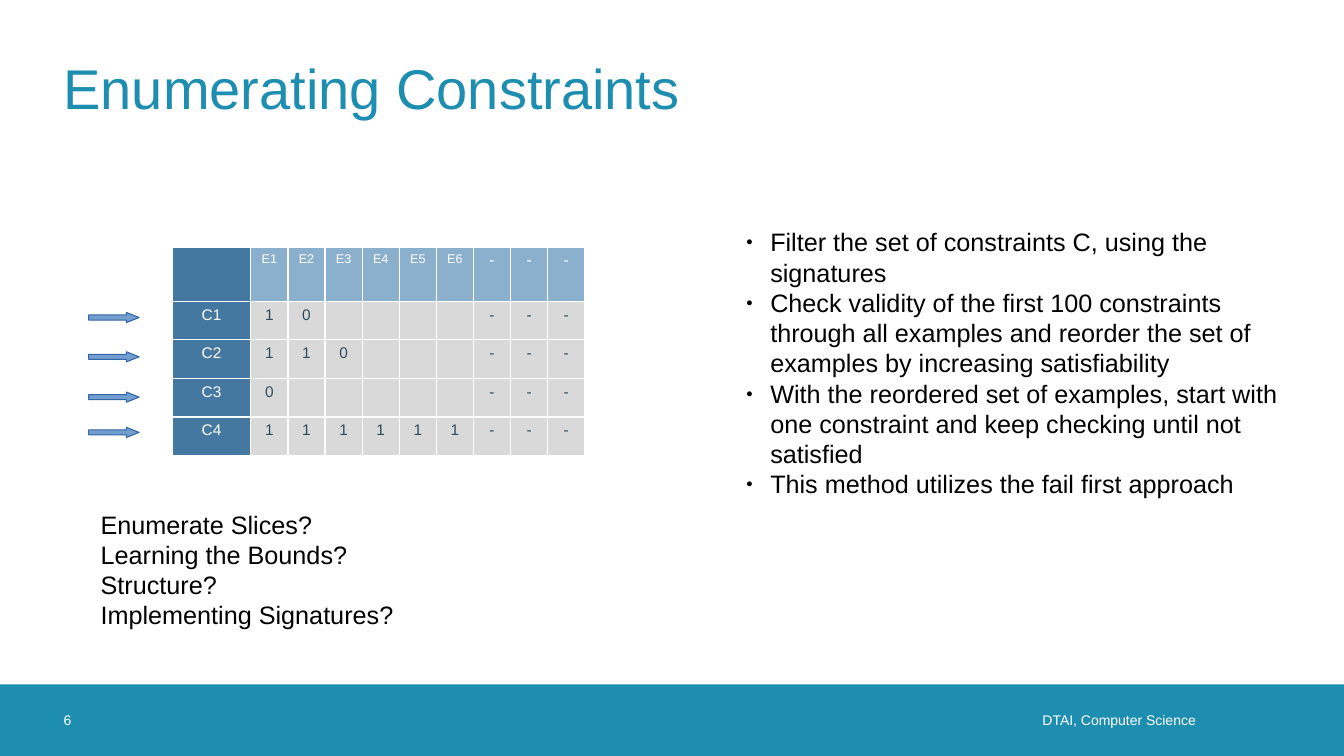
import dataclasses

import lxml.etree
import pptx
import pptx.dml.color
import pptx.enum.shapes
import pptx.enum.text
import pptx.oxml.ns
import pptx.util

COLORS = {
    "teal": "1D8DB0",
    "white": "FFFFFF",
    "black": "000000",
    "label": "4578A1",
    "header": "8BB0CD",
    "cell": "D9D9D9",
    "value": "2F4D5D",
    "arrow": "729FCF",
    "arrow_line": "3465A4",
}
FONT = "Arial"
ALIGN = pptx.enum.text.PP_ALIGN
ANCHOR = pptx.enum.text.MSO_ANCHOR
SHAPE = pptx.enum.shapes.MSO_SHAPE

CONSTRAINTS = {"C1": "10", "C2": "110", "C3": "0", "C4": "111111"}
EXAMPLES = ["E1", "E2", "E3", "E4", "E5", "E6"]
MORE = ["-"] * 3
STEPS = [
    "Filter the set of constraints C, using the signatures",
    "Check validity of the first 100 constraints through all examples "
    "and reorder the set of examples by increasing satisfiability",
    "With the reordered set of examples, start with one constraint "
    "and keep checking until not satisfied",
    "This method utilizes the fail first approach",
]
QUESTIONS = ["Enumerate Slices?", "Learning the Bounds?", "Structure?",
             "Implementing Signatures?"]


@dataclasses.dataclass
class Box:
    """A rectangle whose parts are given in percent of its size."""
    left: int
    top: int
    width: int
    height: int

    def share(self, left, top, width, height):
        """Return the part of this box at the given percentages."""
        return Box(self.left + round(self.width * left / 100),
                   self.top + round(self.height * top / 100),
                   round(self.width * width / 100),
                   round(self.height * height / 100))

    def bounds(self):
        """Return left, top, width and height."""
        return self.left, self.top, self.width, self.height


def rgb(name):
    """Look up a palette colour."""
    return pptx.dml.color.RGBColor.from_string(COLORS[name])


def add_element(parent, tag, **attributes):
    """Append a drawing element to its parent."""
    return lxml.etree.SubElement(parent, pptx.oxml.ns.qn(tag), attributes)


def write(frame, *lines, size=18, color="black", align=ALIGN.LEFT,
          anchor=ANCHOR.TOP, insets=(0.1, 0.05, 0.1, 0.05)):
    """Fill a text frame with one formatted paragraph per line."""
    frame.word_wrap = True
    frame.auto_size = pptx.enum.text.MSO_AUTO_SIZE.NONE
    frame.vertical_anchor = anchor
    (frame.margin_left, frame.margin_top,
     frame.margin_right, frame.margin_bottom) = map(pptx.util.Inches, insets)
    frame.text = "\n".join(lines)
    for paragraph in frame.paragraphs:
        paragraph.alignment = align
        paragraph.space_before = pptx.util.Pt(0)
        for run in paragraph.runs:
            run.font.name = FONT
            run.font.size = pptx.util.Pt(size)
            run.font.color.rgb = rgb(color)


def place(shape, box):
    """Move a placeholder into a box."""
    shape.left, shape.top, shape.width, shape.height = box.bounds()


def add_shape(slide, kind, box, fill, line=None):
    """Draw a flat preset shape."""
    shape = slide.shapes.add_shape(kind, *box.bounds())
    shape.shadow.inherit = False
    shape.fill.solid()
    shape.fill.fore_color.rgb = rgb(fill)
    if line:
        shape.line.color.rgb = rgb(line)
        shape.line.width = pptx.util.Pt(0)
    else:
        shape.line.fill.background()
    return shape


def add_footer(slide, box):
    """Draw the band with the slide number and the department."""
    add_shape(slide, SHAPE.RECTANGLE, box, "teal")
    for text, left, width, align, right_inset in (
            ("6", 4.73, 5.33, ALIGN.LEFT, 0),
            ("DTAI, Computer Science", 49.51, 40.96, ALIGN.RIGHT, 0.2)):
        label = slide.shapes.add_textbox(*box.share(left, 0, width, 100).bounds())
        write(label.text_frame, text, size=10, color="white", align=align,
              anchor=ANCHOR.MIDDLE, insets=(0, 0, right_inset, 0))


def add_title(slide, box):
    """Write the slide title."""
    place(slide.shapes.title, box)
    write(slide.shapes.title.text_frame, "Enumerating Constraints", size=40,
          color="teal", anchor=ANCHOR.MIDDLE, insets=(0, 0, 0, 0))


def format_cell(cell, text, fill, color, size):
    """Write one table cell with white borders."""
    write(cell.text_frame, text, size=size, color=color, align=ALIGN.CENTER)
    cell.margin_left = cell.margin_right = cell.margin_top = pptx.util.Inches(0.05)
    cell.margin_bottom = 0
    properties = cell._tc.get_or_add_tcPr()
    for side in ("a:lnL", "a:lnR", "a:lnT", "a:lnB"):
        border = add_element(properties, side, w=str(pptx.util.Pt(0.96)))
        add_element(add_element(border, "a:solidFill"), "a:srgbClr",
                    val=COLORS["white"])
    cell.fill.solid()
    cell.fill.fore_color.rgb = rgb(fill)


def add_signature_table(slide, box):
    """Build the table of constraints against examples."""
    rows = [[""] + EXAMPLES + MORE]
    for name, results in CONSTRAINTS.items():
        rows.append([name] + list(results.ljust(len(EXAMPLES))) + MORE)
    table = slide.shapes.add_table(len(rows), len(rows[0]), *box.bounds()).table
    table.first_row = table.horz_banding = False
    for index, column in enumerate(table.columns):
        column.width = box.share(0, 0, 9 if index else 19, 0).width
    for index, row in enumerate(table.rows):
        row.height = box.share(0, 0, 0, 18.5 if index else 26).height
    for row_index, row in enumerate(rows):
        for column_index, text in enumerate(row):
            if column_index == 0:
                fill, color = "label", "white"
            elif row_index == 0:
                fill, color = "header", "white"
            else:
                fill, color = "cell", "value"
            format_cell(table.cell(row_index, column_index), text.strip(),
                        fill, color, 9 if text in EXAMPLES else 11)


def add_row_arrows(slide, box):
    """Point an arrow at each constraint row."""
    for top in (31.4, 50.24, 69.57, 86.47):
        arrow = add_shape(slide, SHAPE.RIGHT_ARROW, box.share(0, top, 100, 4.83),
                          "arrow", "arrow_line")
        arrow.adjustments[0] = 0.5
        arrow.adjustments[1] = 1.25


def add_steps(slide, box):
    """List the steps of the method as bullets."""
    body = slide.placeholders[1]
    place(body, box)
    write(body.text_frame, *STEPS)
    indent = pptx.util.Inches(0.24)
    for paragraph in body.text_frame.paragraphs:
        properties = paragraph._p.get_or_add_pPr()
        properties.set("marL", str(indent))
        properties.set("indent", str(-indent))
        add_element(add_element(properties, "a:buClr"), "a:srgbClr",
                    val=COLORS["black"])
        add_element(properties, "a:buSzPct", val="45000")
        add_element(properties, "a:buFont", typeface=FONT)
        add_element(properties, "a:buChar", char="●")


def add_questions(slide, box):
    """Write the open questions."""
    questions = slide.shapes.add_textbox(*box.bounds())
    write(questions.text_frame, *QUESTIONS)


def build_constraints_slide(presentation):
    """Lay out all regions of the slide."""
    slide = presentation.slides.add_slide(presentation.slide_layouts[1])
    page = Box(0, 0, presentation.slide_width, presentation.slide_height)
    add_footer(slide, page.share(0, 90.53, 100, 9.47))
    add_title(slide, page.share(4.73, 3.07, 90.55, 16.8))
    add_signature_table(slide, page.share(12.83, 32.67, 30.7, 27.6))
    add_row_arrows(slide, page.share(6.6, 32.67, 3.75, 27.6))
    add_steps(slide, page.share(54.76, 29.33, 41.26, 38.67))
    add_questions(slide, page.share(6.75, 66.67, 27, 16.27))


presentation = pptx.Presentation()
presentation.slide_width = pptx.util.Inches(13.33)
presentation.slide_height = pptx.util.Inches(7.5)
build_constraints_slide(presentation)
presentation.save("out.pptx")
